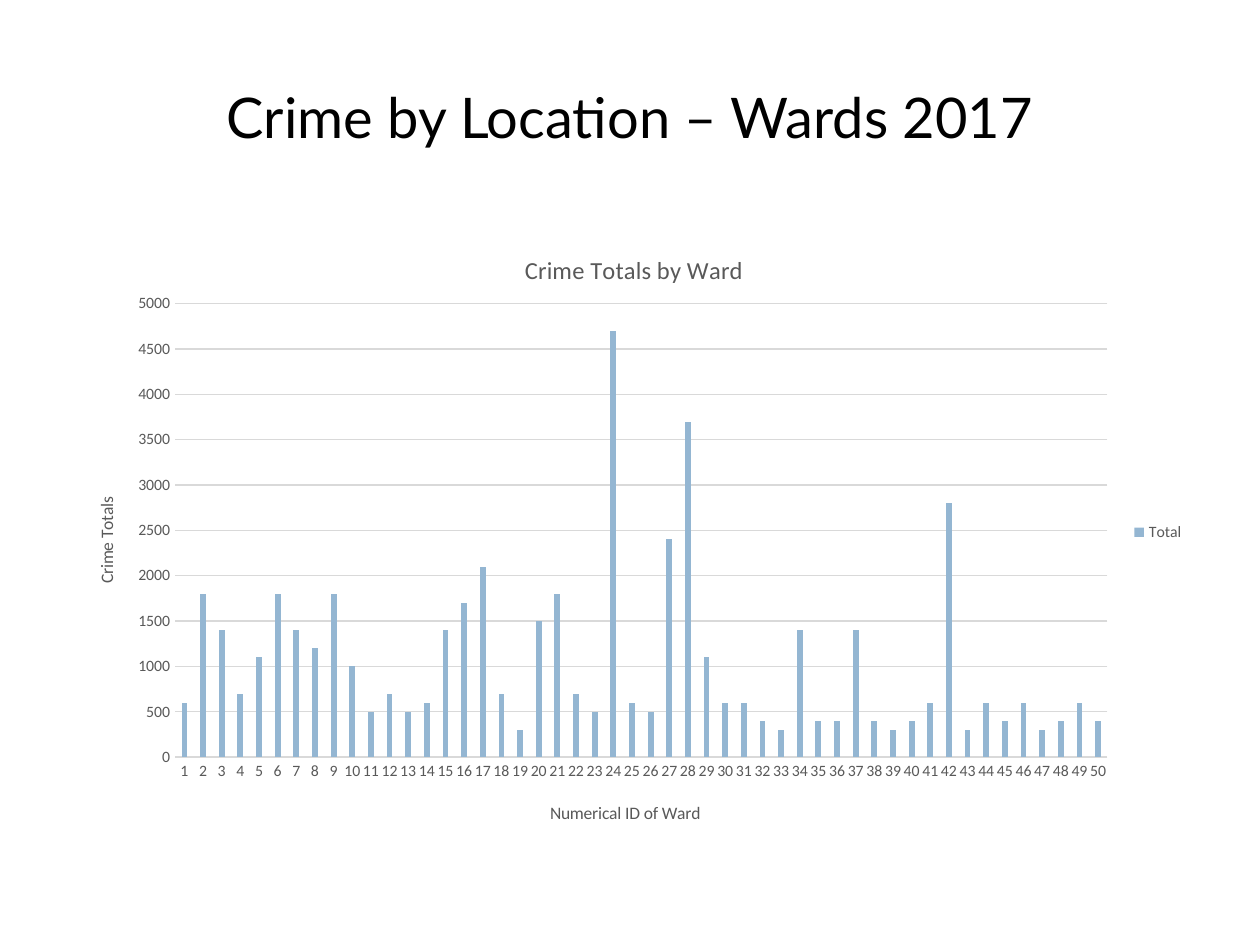
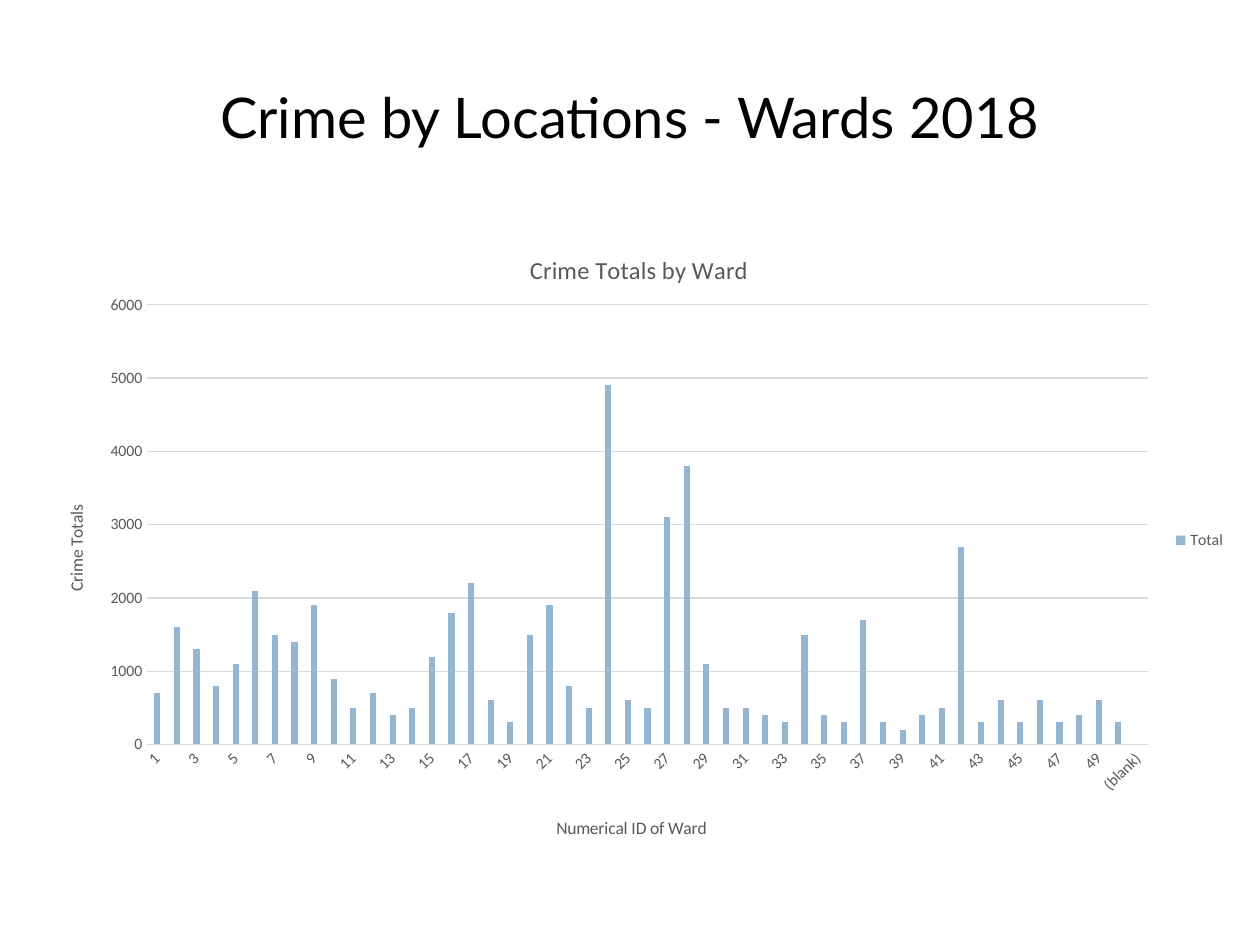
from lxml import etree
from pptx import Presentation
from pptx.chart.data import CategoryChartData
from pptx.dml.color import RGBColor
from pptx.enum.chart import XL_CHART_TYPE, XL_LEGEND_POSITION, XL_TICK_MARK
from pptx.enum.text import MSO_ANCHOR, PP_ALIGN
from pptx.oxml.ns import qn
from pptx.util import Inches, Pt

COLUMNS = XL_CHART_TYPE.COLUMN_CLUSTERED
LEGEND_RIGHT = XL_LEGEND_POSITION.RIGHT
NO_TICK = XL_TICK_MARK.NONE
MIDDLE = MSO_ANCHOR.MIDDLE
CENTER = PP_ALIGN.CENTER

BLACK = "000000"
GREY = "595959"
LIGHT_GREY = "D9D9D9"
BLUE = "94B6D2"
TITLE_FONT = "Lato"
CHART_FONT = "Calibri"
ANGLE_UNIT = 60000

WARDS = [str(number) for number in range(1, 51)]
TOTALS_2017 = [
    600, 1800, 1400, 700, 1100, 1800, 1400, 1200, 1800, 1000,
    500, 700, 500, 600, 1400, 1700, 2100, 700, 300, 1500,
    1800, 700, 500, 4700, 600, 500, 2400, 3700, 1100, 600,
    600, 400, 300, 1400, 400, 400, 1400, 400, 300, 400,
    600, 2800, 300, 600, 400, 600, 300, 400, 600, 400,
]
TOTALS_2018 = [
    700, 1600, 1300, 800, 1100, 2100, 1500, 1400, 1900, 900,
    500, 700, 400, 500, 1200, 1800, 2200, 600, 300, 1500,
    1900, 800, 500, 4900, 600, 500, 3100, 3800, 1100, 500,
    500, 400, 300, 1500, 400, 300, 1700, 300, 200, 400,
    500, 2700, 300, 600, 300, 600, 300, 400, 600, 300, None,
]


def color(value):
    return RGBColor.from_string(value)


def format_font(font, size, fill, name=CHART_FONT):
    font.name = name
    font.size = Pt(size)
    font.bold = False
    font.color.rgb = color(fill)


def write_text(text_frame, text, size=10, fill=GREY, name=CHART_FONT, align=CENTER):
    paragraph = text_frame.paragraphs[0]
    paragraph.alignment = align
    run = paragraph.add_run()
    run.text = text
    format_font(run.font, size, fill, name)


def rotate_text(body, degrees):
    body.set("rot", str(degrees * ANGLE_UNIT))
    body.set("vert", "horz")


def set_layout(element, frame, left, top, size=None):
    frame_left, frame_top, frame_width, frame_height = frame
    for old in element.findall(qn("c:layout")):
        element.remove(old)
    layout = etree.Element(qn("c:layout"))
    manual = etree.SubElement(layout, qn("c:manualLayout"))
    settings = [("xMode", "edge"), ("yMode", "edge"),
                ("x", (left - frame_left) / frame_width),
                ("y", (top - frame_top) / frame_height)]
    if size:
        settings.insert(0, ("layoutTarget", "inner"))
        settings += [("w", size[0] / frame_width), ("h", size[1] / frame_height)]
    for tag, value in settings:
        etree.SubElement(manual, qn(f"c:{tag}")).set("val", str(value))
    element.insert(0 if element.find(qn("c:tx")) is None else 1, layout)


class Deck:
    def __init__(self):
        self.presentation = Presentation()
        self.presentation.slide_width = Inches(10)
        self.presentation.slide_height = Inches(7.5)
        self.slide = None

    def add_slide(self, text):
        self.slide = self.presentation.slides.add_slide(self.presentation.slide_layouts[5])
        title = self.slide.shapes.title
        title.left, title.top = Inches(0.5), Inches(0.3)
        title.width, title.height = Inches(9), Inches(1.25)
        title.text_frame.vertical_anchor = MIDDLE
        write_text(title.text_frame, text, size=32, fill=BLACK, name=TITLE_FONT)

    def add_chart_title(self, title, text, frame, position, size=10, rotation=0):
        write_text(title.text_frame, text, size=size)
        rotate_text(title.element.xpath("c:tx/c:rich/a:bodyPr")[0], rotation)
        set_layout(title.element, frame, *position)

    def format_axis(self, axis):
        axis.major_tick_mark = axis.minor_tick_mark = NO_TICK
        format_font(axis.tick_labels.font, 9, GREY)

    def add_ward_chart(self, wards, totals, frame, plot, title_at, ward_title_at,
                       total_title_at, maximum, step, label_rotation=0):
        data = CategoryChartData()
        data.categories = wards
        data.add_series("Total", totals)
        chart = self.slide.shapes.add_chart(COLUMNS, *map(Inches, frame), data).chart
        format_font(chart.font, 10, BLACK)
        columns = chart.plots[0]
        columns.gap_width, columns.overlap = 219, -27
        columns.vary_by_categories = False
        fill = columns.series[0].format.fill
        fill.solid()
        fill.fore_color.rgb = color(BLUE)

        chart.has_legend = True
        chart.legend.position = LEGEND_RIGHT
        chart.legend.include_in_layout = False
        format_font(chart.legend.font, 9, GREY)

        ward_axis, total_axis = chart.category_axis, chart.value_axis
        for axis in (ward_axis, total_axis):
            self.format_axis(axis)
        total_axis.minimum_scale, total_axis.maximum_scale = 0, maximum
        total_axis.major_unit = step
        total_axis.format.line.fill.background()
        for line in (ward_axis.format.line, total_axis.major_gridlines.format.line):
            line.color.rgb = color(LIGHT_GREY)
            line.width = Pt(0.75)
        rotate_text(chart.element.xpath(".//c:catAx/c:txPr/a:bodyPr")[0], label_rotation)

        chart.has_title = True
        self.add_chart_title(chart.chart_title, "Crime Totals by Ward", frame, title_at, size=14)
        self.add_chart_title(ward_axis.axis_title, "Numerical ID of Ward", frame, ward_title_at)
        self.add_chart_title(total_axis.axis_title, "Crime Totals", frame, total_title_at,
                             rotation=-90)
        set_layout(chart.element.xpath(".//c:plotArea")[0], frame, *plot[:2], size=plot[2:])


def main():
    deck = Deck()
    deck.add_slide("Crime by Location – Wards 2017")
    deck.add_ward_chart(
        WARDS, TOTALS_2017, frame=(0.5, 1.75, 9, 4.95), plot=(1.39, 2.41, 7.4, 3.6),
        title_at=(4.13, 1.97), ward_title_at=(4.34, 6.34), total_title_at=(0.73, 3.92),
        maximum=5000, step=500)
    deck.add_slide("Crime by Locations - Wards 2018")
    deck.add_ward_chart(
        WARDS + ["(blank)"], TOTALS_2018, frame=(0.25, 1.75, 9.58, 5.08),
        plot=(1.17, 2.42, 7.94, 3.49),
        title_at=(4.17, 1.97), ward_title_at=(4.39, 6.46), total_title_at=(0.49, 3.98),
        maximum=6000, step=1000, label_rotation=-45)
    deck.presentation.save("out.pptx")


if __name__ == "__main__":
    main()
